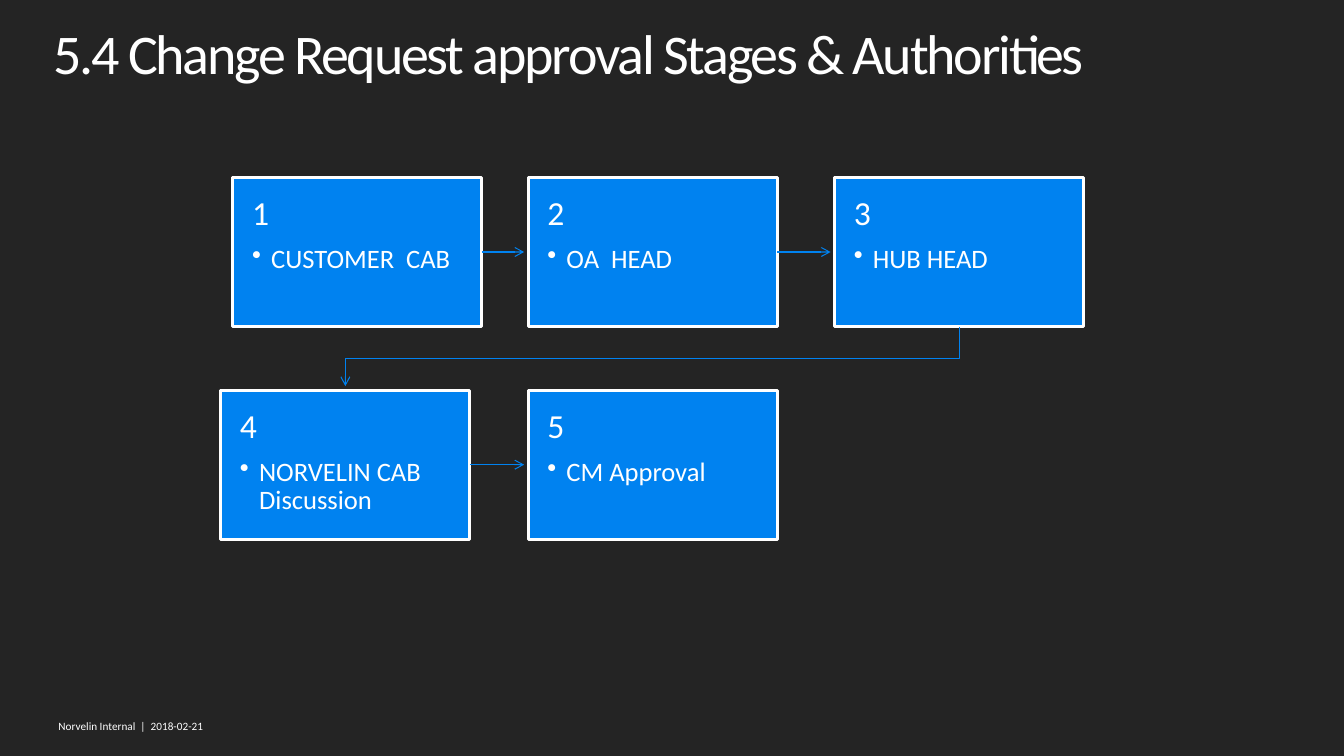
from dataclasses import dataclass

from lxml.etree import SubElement as Sub
from pptx import Presentation
from pptx.dml.color import RGBColor as Color
from pptx.enum.shapes import MSO_CONNECTOR as Link, MSO_SHAPE as Form
from pptx.enum.text import MSO_ANCHOR as Anchor, PP_ALIGN as Align
from pptx.oxml.ns import qn
from pptx.util import Emu, Inches, Pt


@dataclass(frozen=True)
class Theme:
    back: str = "242424"
    fill: str = "0082F0"
    ink: str = "FFFFFF"
    font: str = "Calibri"
    title: float = 40
    head: float = 24
    body: float = 19
    foot: float = 8
    edge: float = 2
    wire: float = 0.75


@dataclass(frozen=True)
class Stage:
    col: float
    row: float
    label: str


THEME = Theme()
WIDE, HIGH = Inches(13.33), Inches(7.5)
BOX_W, BOX_H = 18.53, 19.73
TOP, LOW = 23.47, 51.6
INSET = Inches(0.19)
GAP = Inches(0.04)
STAGES = [
    Stage(17.33, TOP, "CUSTOMER  CAB"),
    Stage(39.3, TOP, "OA  HEAD"),
    Stage(62.1, TOP, "HUB HEAD"),
    Stage(16.43, LOW, "NORVELIN CAB Discussion"),
    Stage(39.3, LOW, "CM Approval"),
]


def across(share: float) -> Emu:
    return Emu(round(WIDE * share / 100))


def down(share: float) -> Emu:
    return Emu(round(HIGH * share / 100))


def place(left: float, top: float, width: float, height: float) -> tuple:
    return across(left), down(top), across(width), down(height)


def write(frame, text: str, *, size: float, first: bool = True, lead: float = 1,
          after: float = 0, track: float = 0, bullet: bool = False) -> None:
    para = frame.paragraphs[0] if first else frame.add_paragraph()
    para.alignment = Align.LEFT
    para.line_spacing = lead
    para.space_after = Pt(after)
    run = para.add_run()
    run.text = text
    run.font.size = Pt(size)
    run.font.name = THEME.font
    run.font.color.rgb = Color.from_string(THEME.ink)
    if track:
        run.font._element.set("spc", str(round(track * 100)))
    if bullet:
        props = para._p.get_or_add_pPr()
        props.set("marL", str(INSET))
        props.set("indent", str(-INSET))
        Sub(props, qn("a:buChar")).set("char", "•")


def fit(frame, side: Emu, edge: Emu, wrap: bool = True) -> None:
    frame.margin_left = frame.margin_right = side
    frame.margin_top = frame.margin_bottom = edge
    frame.word_wrap = wrap
    frame.vertical_anchor = Anchor.TOP


def ink_wire(wire) -> None:
    wire.line.color.rgb = Color.from_string(THEME.fill)
    wire.line.width = Pt(THEME.wire)
    Sub(wire.line._get_or_add_ln(), qn("a:tailEnd")).set("type", "arrow")


def draw_stage(slide, stage: Stage, rank: int):
    box = slide.shapes.add_shape(
        Form.RECTANGLE, *place(stage.col, stage.row, BOX_W, BOX_H))
    box.shadow.inherit = False
    box.fill.solid()
    box.fill.fore_color.rgb = Color.from_string(THEME.fill)
    box.line.color.rgb = Color.from_string(THEME.ink)
    box.line.width = Pt(THEME.edge)
    frame = box.text_frame
    fit(frame, INSET, INSET)
    write(frame, str(rank), size=THEME.head, lead=0.9, after=9)
    write(frame, stage.label, size=THEME.body, first=False, lead=0.9,
          after=3, bullet=True)
    return box


def join(slide, start, end) -> None:
    mid = start.top + start.height // 2
    wire = slide.shapes.add_connector(
        Link.STRAIGHT, start.left + start.width, mid, end.left - GAP, mid)
    wire.begin_connect(start, 3)
    Sub(wire._element.spPr, qn("a:effectLst"))
    ink_wire(wire)


def wrap_row(slide, start, end) -> None:
    left, right = (box.left + box.width // 2 for box in (end, start))
    base = start.top + start.height
    bend = (base + end.top) // 2
    pen = slide.shapes.build_freeform(right, base)
    pen.add_line_segments(
        [(right, bend), (left, bend), (left, end.top - GAP)], close=False)
    wire = pen.convert_to_shape()
    wire.shadow.inherit = False
    wire.fill.background()
    ink_wire(wire)


def main() -> None:
    deck = Presentation()
    deck.slide_width, deck.slide_height = WIDE, HIGH
    slide = deck.slides.add_slide(deck.slide_layouts[6])
    slide.background.fill.solid()
    slide.background.fill.fore_color.rgb = Color.from_string(THEME.back)

    foot = slide.shapes.add_textbox(*place(4.35, 95.2, 80.94, 3.2)).text_frame
    fit(foot, Emu(0), Emu(0), wrap=False)
    write(foot, "Norvelin Internal  |  2018-02-21", size=THEME.foot)

    boxes = [draw_stage(slide, stage, rank)
             for rank, stage in enumerate(STAGES, 1)]
    for start, end in zip(boxes, boxes[1:]):
        link = join if start.top == end.top else wrap_row
        link(slide, start, end)

    title = slide.shapes.add_textbox(*place(3.38, 3.33, 90.32, 10.93)).text_frame
    fit(title, Inches(0.08), GAP)
    write(title, "5.4 Change Request approval Stages & Authorities",
          size=THEME.title, lead=0.85, track=-1.6)
    deck.save("out.pptx")


if __name__ == "__main__":
    main()
